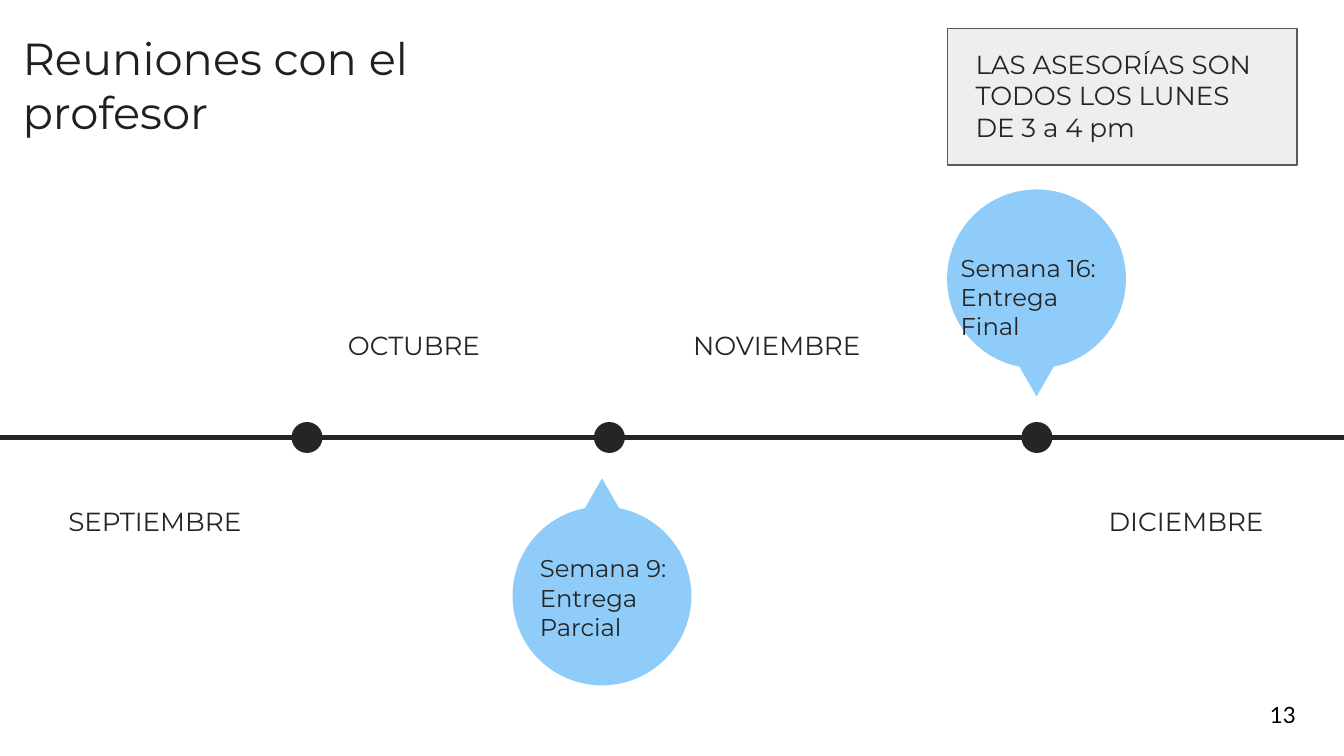
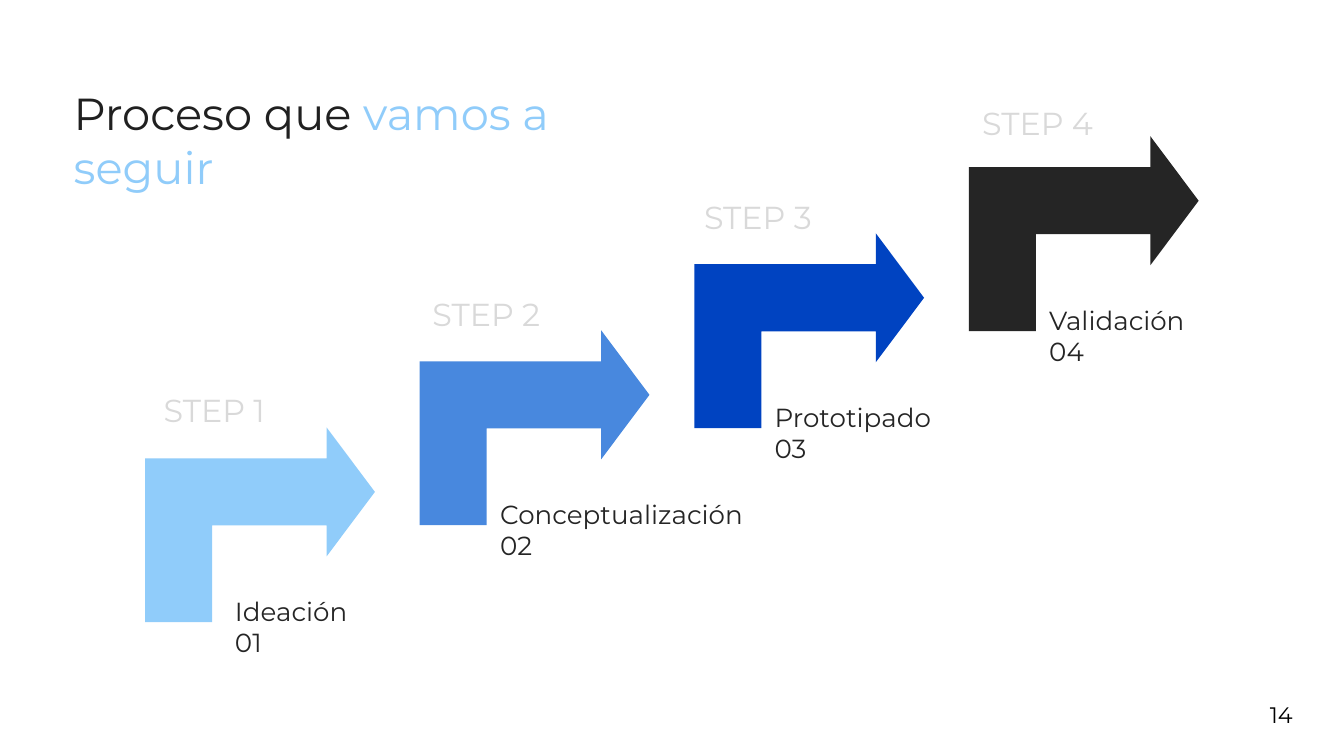
from pptx import Presentation
from pptx.dml.color import RGBColor
from pptx.enum.shapes import MSO_CONNECTOR, MSO_SHAPE
from pptx.enum.text import MSO_ANCHOR
from pptx.oxml.ns import qn
from pptx.util import Pt
from lxml import etree

RECT = MSO_SHAPE.RECTANGLE
OVAL = MSO_SHAPE.OVAL
WEDGE = MSO_SHAPE.ISOSCELES_TRIANGLE
BENT = MSO_SHAPE.BENT_UP_ARROW
LINE = MSO_CONNECTOR.STRAIGHT
TOP = MSO_ANCHOR.TOP
MID = MSO_ANCHOR.MIDDLE
LOW = MSO_ANCHOR.BOTTOM

COLORS = {
    "ink": "252525",
    "title": "202020",
    "black": "000000",
    "sky": "90CCFA",
    "blue": "4888DE",
    "deep": "0043C1",
    "pale": "D9D9D9",
    "note": "EEEEEE",
    "edge": "595959",
}
FONT = "Montserrat"
PAD = Pt(7.2)
DISC = 95.8
DOT = 16.6
AXIS = 234.4


def rgb(name):
    return RGBColor.from_string(COLORS[name])


def add_text(slide, text, box, size=14, color="ink", font=FONT, anchor=TOP):
    frame = slide.shapes.add_textbox(*map(Pt, box)).text_frame
    frame.word_wrap = True
    frame.vertical_anchor = anchor
    frame.margin_left = frame.margin_right = PAD
    frame.margin_top = frame.margin_bottom = PAD
    para = frame.paragraphs[0]
    para.text = text
    para.font.size = Pt(size)
    para.font.name = font
    para.font.color.rgb = rgb(color)
    return para


def add_title(slide, text, box):
    return add_text(slide, text, box, 24, "title", anchor=LOW)


def add_number(slide, number, font=FONT):
    add_text(slide, str(number), (673.2, 367.2, 43.2, 31), 12, "black", font, MID)


def add_shape(shapes, kind, box, fill, edge=None):
    shape = shapes.add_shape(kind, *map(Pt, box))
    shape.shadow.inherit = False
    shape.fill.solid()
    shape.fill.fore_color.rgb = rgb(fill)
    if edge:
        shape.line.color.rgb = rgb(edge)
        shape.line.width = Pt(0.75)
    else:
        shape.line.fill.background()
    return shape


def add_axis(slide):
    line = slide.shapes.add_connector(LINE, Pt(-0.7), Pt(AXIS), Pt(721.4), Pt(AXIS))
    line.line.color.rgb = rgb("ink")
    line.line.width = Pt(2.25)
    etree.SubElement(line._element.spPr, qn("a:effectLst"))


def add_bubble(slide, text, left, top, tip, label, down):
    shapes = slide.shapes.add_group_shape().shapes
    add_shape(shapes, OVAL, (left, top, DISC, DISC), "sky")
    wedge = add_shape(shapes, WEDGE, (left + 34.2, tip, 27.4, 23.8), "sky")
    wedge.rotation = 180 if down else 0
    add_text(slide, text, (*label, DISC, 58.3), 13)


def add_step(slide, index, name, color, indent, step):
    left, top = 87.1 + 147.1 * index, 219.6 - 52 * index
    arrow = add_shape(slide.shapes, BENT, (left, top, 104.4, 123.1), color)
    for place, value in enumerate((0.344, 0.331, 0.248)):
        arrow.adjustments[place] = value
    arrow.rotation = 90
    arrow._element.spPr.find(qn("a:xfrm")).set("flipH", "1")
    add_text(slide, f"{name}\n{index + 1:02}", (left + indent, top + 92, 152.6, 57))
    add_text(slide, f"STEP {index + 1}", (*step, 127.4, 26.6), 17, "pale")


def add_dates(deck):
    slide = deck.slides.add_slide(deck.slide_layouts[6])
    add_shape(slide.shapes, RECT, (507.6, 15.1, 187.2, 73.4), "note", "edge")
    add_text(slide, "LAS ASESORÍAS SON TODOS LOS LUNES DE 3 a 4 pm", (515.5, 18.7, 162, 62))
    add_bubble(slide, "Semana 9: Entrega Parcial", 274.6, 271.4, 256.3, (282.2, 289.4), False)
    add_bubble(slide, "Semana 16: Entrega Final", 507.4, 101.5, 188.6, (507.6, 128.2), True)
    add_axis(slide)
    for left in (156.2, 318.2, 547.2):
        add_shape(slide.shapes, OVAL, (left, AXIS - DOT / 2, DOT, DOT), "ink")
    months = (
        ("SEPTIEMBRE", 29.5, 263.5),
        ("OCTUBRE", 179.3, 169.2),
        ("NOVIEMBRE", 364.3, 169.2),
        ("DICIEMBRE", 586.8, 263.5),
    )
    for month, left, top in months:
        add_text(slide, month, (left, top, 119.5, 26.6))
    add_title(slide, "Reuniones con el profesor", (5, 0, 298, 81.4))
    add_number(slide, 13, "Lato")


def add_process(deck):
    slide = deck.slides.add_slide(deck.slide_layouts[6])
    steps = (
        ("Ideación", "sky", 31.7, (80.6, 202.3)),
        ("Conceptualización", "blue", 26.6, (224.6, 150.5)),
        ("Prototipado", "deep", 26.6, (370.1, 98.6)),
        ("Validación", "ink", 26.6, (519.1, 48.2)),
    )
    for index, step in enumerate(steps):
        add_step(slide, index, *step)
    title = add_title(slide, "Proceso que ", (32.4, 29.5, 315.4, 81.4))
    accent = title.add_run()
    accent.text = "vamos a seguir"
    accent.font.color.rgb = rgb("sky")
    add_number(slide, 14)


def main():
    deck = Presentation()
    deck.slide_width, deck.slide_height = Pt(720), Pt(405)
    add_dates(deck)
    add_process(deck)
    deck.save("out.pptx")


if __name__ == "__main__":
    main()
